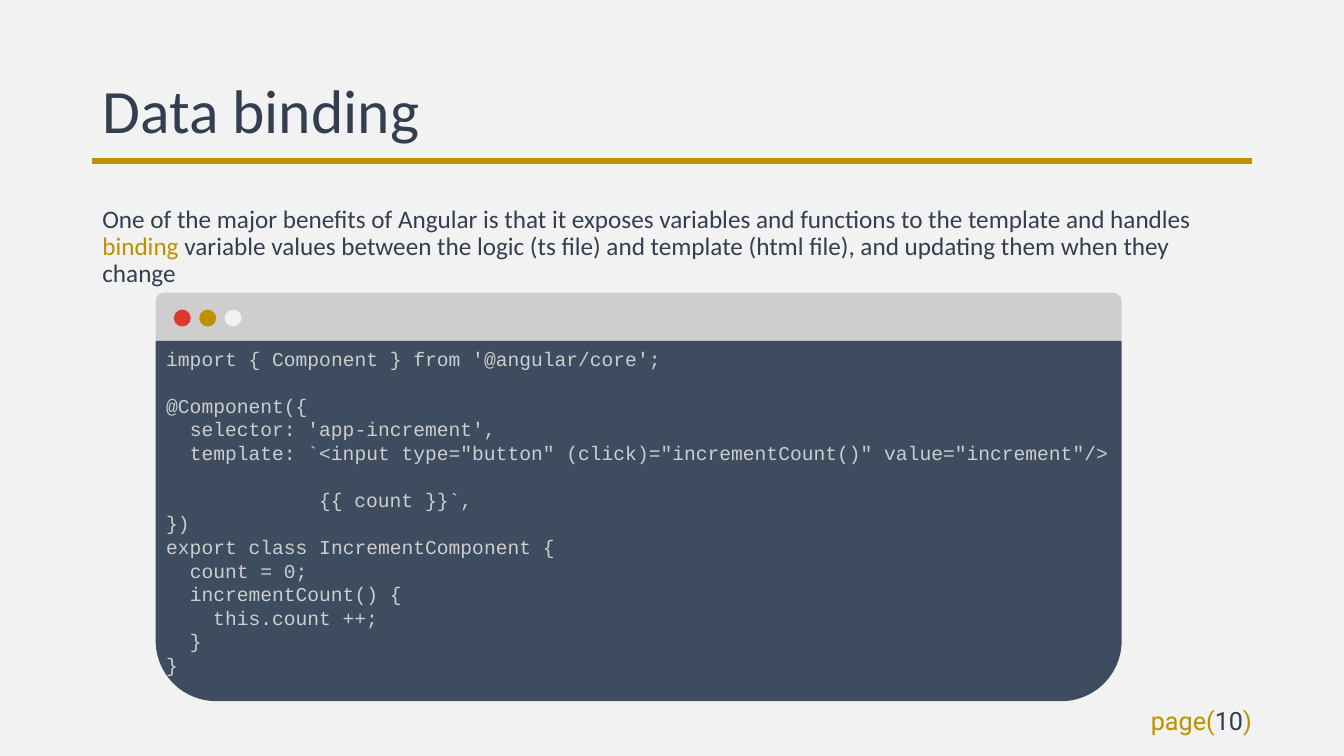
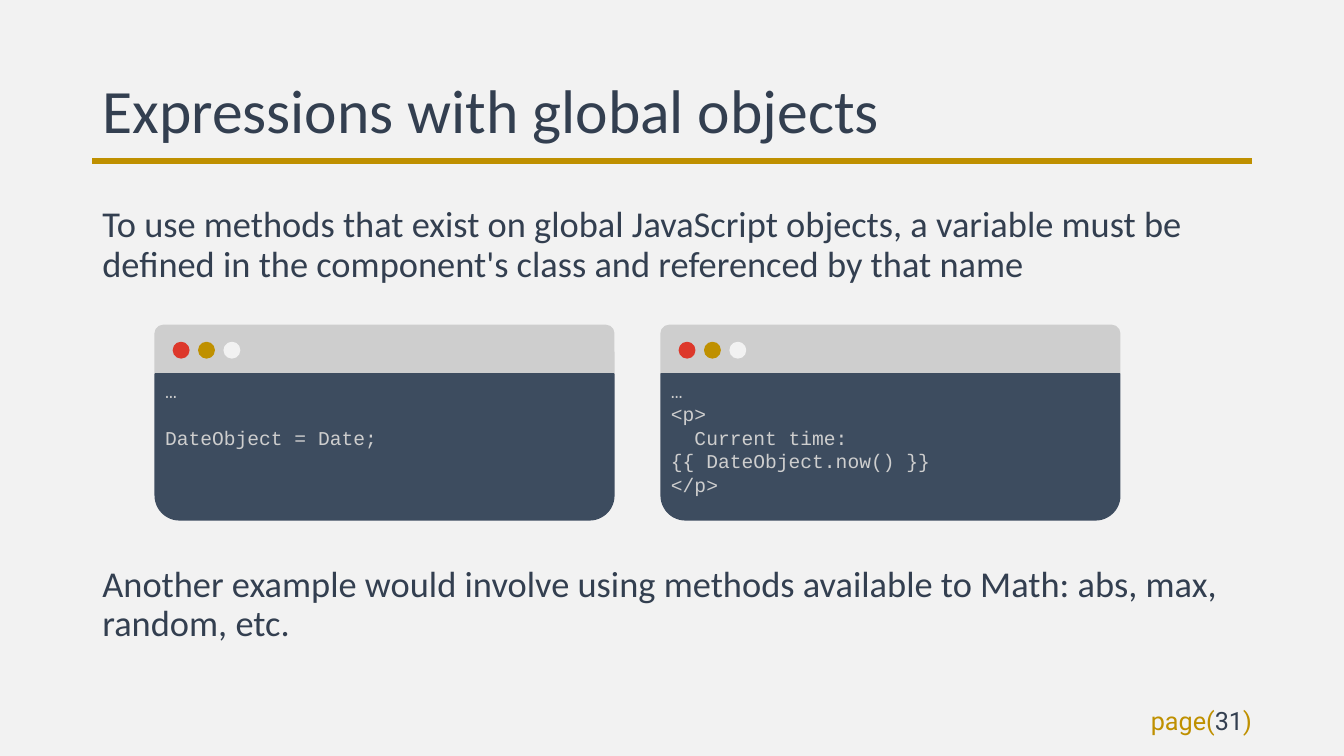
"""Build two slides on data binding with code windows."""
from dataclasses import dataclass

from lxml import etree
from pptx import Presentation
from pptx.dml.color import RGBColor
from pptx.enum.shapes import MSO_CONNECTOR, MSO_SHAPE
from pptx.enum.text import MSO_ANCHOR, PP_ALIGN
from pptx.oxml.ns import qn
from pptx.util import Cm, Pt

STRAIGHT = MSO_CONNECTOR.STRAIGHT
OVAL = MSO_SHAPE.OVAL
ROUND_TOP = MSO_SHAPE.ROUND_2_SAME_RECTANGLE
TOP, MIDDLE = MSO_ANCHOR.TOP, MSO_ANCHOR.MIDDLE
LEFT, RIGHT = PP_ALIGN.LEFT, PP_ALIGN.RIGHT


@dataclass(frozen=True)
class Theme:
    """Hold colours, fonts and type sizes."""
    paper: str = "F2F2F2"
    ink: str = "333F50"
    gold: str = "BF9000"
    red: str = "DD382B"
    silver: str = "CECECE"
    slate: str = "3D4C5F"
    font: str = "Calibri"
    code_font: str = "Courier New"
    page_font: str = "Roboto"
    title_size: float = 44
    body_size: float = 26
    small_size: float = 18
    code_size: float = 14
    code_pitch: float = 16.8
    code_char: float = 8.4


THEME = Theme()
MARGIN, CONTENT_WIDTH = 2.33, 29.21
BAR_HEIGHT = 1.22
DOT_SIZE, DOT_PITCH, DOT_LEFT, DOT_TOP = 0.39, 0.64, 0.46, 0.43


def write(frame, runs, *, font=THEME.font, size=THEME.body_size, color=THEME.ink,
          align=LEFT, spacing=None, before=0, indent=0, new=False):
    """Write one paragraph from (text, colour) runs or a plain string."""
    paragraph = frame.add_paragraph() if new else frame.paragraphs[0]
    paragraph.alignment = align
    paragraph.line_spacing = spacing
    paragraph.space_before = Pt(before)
    if indent:
        properties = paragraph._p.get_or_add_pPr()
        properties.set("marL", "0")
        properties.set("indent", str(Pt(indent)))
    for text, run_color in [(runs, color)] if isinstance(runs, str) else runs:
        run = paragraph.add_run()
        run.text = text
        run.font.name = font
        run.font.size = Pt(size)
        run.font.color.rgb = RGBColor.from_string(run_color)


class Deck:
    """Hold the theme, the presentation and the current slide."""

    def __init__(self, theme):
        """Start an empty widescreen presentation."""
        self.theme = theme
        self.presentation = Presentation()
        self.presentation.slide_width = Cm(33.87)
        self.presentation.slide_height = Cm(19.05)
        self.slide = None

    def add_slide(self, title, page):
        """Add a slide with its title, rule and page number."""
        theme = self.theme
        self.slide = self.presentation.slides.add_slide(self.presentation.slide_layouts[6])
        background = self.slide.background.fill
        background.solid()
        background.fore_color.rgb = RGBColor.from_string(theme.paper)
        self.rule(4.06)
        heading = self.frame(MARGIN, 1.02, CONTENT_WIDTH, 3.68, MIDDLE)
        write(heading, title, size=theme.title_size, spacing=0.9)
        footer = self.frame(27, 17.65, 4.8, 1.02, MIDDLE)
        write(footer, [("page(", theme.gold), (str(page), theme.ink), (")", theme.gold)],
              font=theme.page_font, size=theme.small_size, align=RIGHT)

    def rule(self, top):
        """Draw the gold rule across the content width."""
        rule = self.slide.shapes.add_connector(
            STRAIGHT, Cm(MARGIN), Cm(top), Cm(MARGIN + CONTENT_WIDTH), Cm(top))
        rule.line.color.rgb = RGBColor.from_string(self.theme.gold)
        rule.line.width = Pt(4)
        etree.SubElement(rule._element.spPr, qn("a:effectLst"))

    def frame(self, left, top, width, height, anchor=TOP):
        """Add a wrapping text box and return its text frame."""
        box = self.slide.shapes.add_textbox(Cm(left), Cm(top), Cm(width), Cm(height))
        box.text_frame.word_wrap = True
        box.text_frame.vertical_anchor = anchor
        return box.text_frame

    def body(self, top, height, runs, size):
        """Add a paragraph of body text."""
        write(self.frame(MARGIN, top, CONTENT_WIDTH, height), runs, size=size, spacing=0.9)

    def shape(self, kind, left, top, width, height, color, rotation=0):
        """Add a preset shape in one colour."""
        shape = self.slide.shapes.add_shape(kind, Cm(left), Cm(top), Cm(width), Cm(height))
        shape.rotation = rotation
        shape.shadow.inherit = False
        shape.fill.solid()
        shape.fill.fore_color.rgb = RGBColor.from_string(color)
        shape.line.color.rgb = RGBColor.from_string(color)
        shape.line.width = Pt(1)

    def code_window(self, left, top, width, height, lines):
        """Draw a window of (indent in characters, code, blank lines above)."""
        theme = self.theme
        pane_top = top + BAR_HEIGHT
        self.shape(ROUND_TOP, left, top, width, BAR_HEIGHT, theme.silver)
        self.shape(ROUND_TOP, left, pane_top, width, height, theme.slate, 180)
        for index, color in enumerate((theme.red, theme.gold, theme.paper)):
            self.shape(OVAL, left + DOT_LEFT + index * DOT_PITCH, top + DOT_TOP,
                       DOT_SIZE, DOT_SIZE, color)
        listing = self.frame(left, pane_top, width, height)
        for index, (indent, code, gap) in enumerate(lines):
            write(listing, code, font=theme.code_font, size=theme.code_size,
                  color=theme.silver, spacing=Pt(theme.code_pitch),
                  before=gap * theme.code_pitch, indent=indent * theme.code_char,
                  new=index > 0)


def main():
    """Build and save both slides."""
    deck = Deck(THEME)

    deck.add_slide("Data binding", 10)
    deck.body(5.08, 2.3, [
        ("One of the major benefits of Angular is that it exposes variables and functions "
         "to the template and handles ", THEME.ink),
        ("binding", THEME.gold),
        (" variable values between the logic (ts file) and template (html file), "
         "and updating them when they change", THEME.ink),
    ], THEME.small_size)
    deck.code_window(3.94, 7.39, 24.31, 9.04, [
        (0, "import { Component } from '@angular/core';", 0),
        (0, "@Component({", 1),
        (2, "selector: 'app-increment',", 0),
        (2, 'template: `<input type="button" (click)="incrementCount()" value="increment"/>', 0),
        (13, "{{ count }}`,", 1),
        (0, "})", 0),
        (0, "export class IncrementComponent {", 0),
        (2, "count = 0;", 0),
        (2, "incrementCount() {", 0),
        (4, "this.count ++;", 0),
        (2, "}", 0),
        (0, "}", 0),
    ])

    deck.add_slide("Expressions with global objects", 31)
    deck.body(5.08, 2.3, "To use methods that exist on global JavaScript objects, a variable "
              "must be defined in the component's class and referenced by that name",
              THEME.body_size)
    listings = [
        [(0, "…", 0), (0, "DateObject = Date;", 1)],
        [(0, "…", 0), (0, "<p>", 0),
         (2, "Current time: {{ DateObject.now() }}", 0), (0, "</p>", 0)],
    ]
    window_width, window_gap = 11.56, 1.19
    for column, lines in enumerate(listings):
        deck.code_window(3.91 + column * (window_width + window_gap), 8.2,
                         window_width, 3.68, lines)
    deck.body(14.13, 2.3, "Another example would involve using methods available to Math: "
              "abs, max, random, etc.", THEME.body_size)

    deck.presentation.save("out.pptx")


if __name__ == "__main__":
    main()
